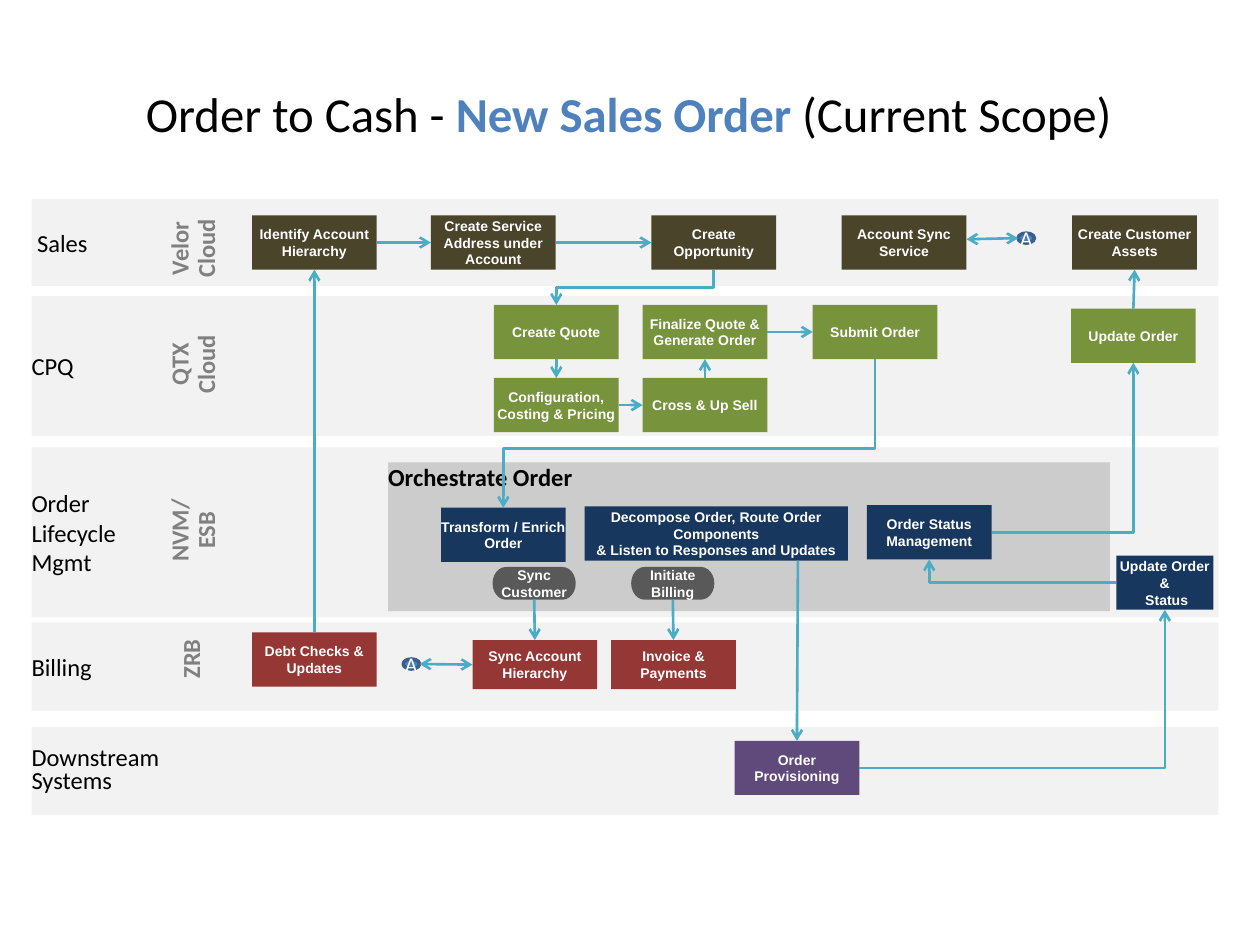
"""Build the order-to-cash swimlane slide on a grid of 100 columns by 75 rows."""
from dataclasses import dataclass

from pptx import Presentation
from pptx import util as u
from pptx.dml.color import RGBColor
from pptx.enum import shapes, text
from pptx.oxml import ns, xmlchemy


@dataclass(frozen=True)
class Theme:
    """Colours, fonts and type sizes of the slide."""
    lane: str = "F2F2F2"
    panel: str = "CCCCCC"
    ink: str = "000000"
    system: str = "808080"
    white: str = "FFFFFF"
    accent: str = "4F81BD"
    outline: str = "3A5F8C"
    arrow: str = "4BACC6"
    sales: str = "4A452A"
    quote: str = "77933C"
    order: str = "17375E"
    event: str = "595959"
    billing: str = "953735"
    supply: str = "604A7B"
    heading: str = "Calibri"
    body: str = "Arial"
    title_size: float = 27.9
    label_size: float = 14
    badge_size: float = 12
    step_size: float = 8


@dataclass(frozen=True)
class Box:
    """A rectangle measured in grid columns and rows."""
    left: float
    top: float
    width: float
    height: float

    def inner(self, left, top, width, height):
        """Return a box placed relative to this one."""
        return Box(self.left + left, self.top + top, width, height)

    def lengths(self):
        """Return left, top, width and height as slide lengths."""
        return [cells(n) for n in (self.left, self.top, self.width, self.height)]


THEME = Theme()
KIND = shapes.MSO_SHAPE
ALIGN = text.PP_ALIGN
ANCHOR = text.MSO_ANCHOR
STEP_WIDTH, STEP_HEIGHT = 9.9, 4.3
PORTS = {"top": (0.5, 0), "left": (0, 0.5), "bottom": (0.5, 1), "right": (1, 0.5),
         "lower right": (0.81, 1), "upper right": (1, 0.44)}

LANES = [
    (" Sales", 15.8, 6.9, 1, ("Velor Cloud", 10.8, 1.1), THEME.sales, [
        ("Identify Account Hierarchy", 17.5, 1.3),
        ("Create Service Address under Account", 31.7, 1.3),
        ("Create Opportunity", 49.2, 1.3),
        ("Account Sync Service", 64.3, 1.3),
        ("Create Customer Assets", 82.6, 1.3)]),
    ("CPQ", 23.5, 11.1, 1, ("QTX Cloud", 10.8, 2.6), THEME.quote, [
        ("Create Quote", 36.7, 0.7),
        ("Configuration, Costing & Pricing", 36.7, 6.5),
        ("Cross & Up Sell", 48.5, 6.5),
        ("Finalize Quote & Generate Order", 48.5, 0.7),
        ("Submit Order", 62, 0.7),
        ("Update Order", 82.5, 1)]),
    ("Order\nLifecycle\nMgmt", 35.5, 13.5, 1, ("NVM/ESB", 10.8, 3.8), THEME.order, [
        ("Update Order &\n Status", 86.1, 8.6, 7.7)]),
    ("Billing", 49.4, 7, 1, ("ZRB", 11.7, 0.1), THEME.billing, [
        ("Debt Checks & Updates", 17.5, 0.8),
        ("Sync Account Hierarchy", 35, 1.4, STEP_WIDTH, 3.9),
        ("Invoice & Payments", 46, 1.4, STEP_WIDTH, 3.9)]),
    ("Downstream\nSystems", 57.7, 7, 0.8, None, THEME.supply, [
        ("Order Provisioning", 55.8, 1.1)]),
]
ORCHESTRATION = [
    ("Transform / Enrich Order", 4.2, 3.6),
    ("Decompose Order, Route Order Components\v& Listen to Responses and Updates", 15.6, 3.5, 20.9),
    ("Order Status Management", 38, 3.4),
]
EVENTS = [("Sync Customer", 8.3, 8.3), ("Initiate Billing", 19.3, 8.3)]
LINKS = [
    ("Update Order", "top", "Create Customer Assets", "bottom"),
    ("Identify Account Hierarchy", "right", "Create Service Address under Account", "left"),
    ("Create Service Address under Account", "right", "Create Opportunity", "left"),
    ("Create Opportunity", "bottom", "Create Quote", "top", 0.5),
    ("Create Quote", "bottom", "Configuration, Costing & Pricing", "top"),
    ("Configuration, Costing & Pricing", "right", "Cross & Up Sell", "left"),
    ("Cross & Up Sell", "top", "Finalize Quote & Generate Order", "bottom"),
    ("Finalize Quote & Generate Order", "right", "Submit Order", "left"),
    ("Submit Order", "bottom", "Transform / Enrich Order", "top", 0.6),
    (ORCHESTRATION[1][0], "lower right", "Order Provisioning", "top"),
    ("Initiate Billing", "bottom", "Invoice & Payments", "top"),
    ("Sync Customer", "bottom", "Sync Account Hierarchy", "top"),
    ("Order Status Management", "right", "Update Order", "bottom", "corner"),
    ("Order Provisioning", "right", "Update Order &\n Status", "bottom", "corner"),
    ("Update Order &\n Status", "left", "Order Status Management", "bottom", "corner"),
    ("Debt Checks & Updates", "top", "Identify Account Hierarchy", "bottom"),
    ("Sync Account Hierarchy", "left", "billing badge", "right", "both"),
    ("sales badge", "left", "Account Sync Service", "upper right", "both"),
]


def cells(count):
    """Turn grid cells into a slide length."""
    return u.Inches(count / 10)


def style(span, size, color, bold=False, font=THEME.heading):
    """Format one run."""
    span.font.size, span.font.bold, span.font.name = u.Pt(size), bold, font
    span.font.color.rgb = RGBColor.from_string(color)


def write(shape, words, size, color, bold=False, font=THEME.heading,
          align=ALIGN.CENTER, anchor=ANCHOR.MIDDLE, spacing=1):
    """Fill a shape with evenly formatted text and no margins."""
    frame = shape.text_frame
    frame.text, frame.word_wrap, frame.vertical_anchor = words, True, anchor
    frame.margin_left = frame.margin_right = frame.margin_top = frame.margin_bottom = 0
    for para in frame.paragraphs:
        para.alignment, para.line_spacing = align, spacing
        for span in para.runs:
            style(span, size, color, bold, font)


def add_block(page, box, fill, kind=KIND.RECTANGLE):
    """Add a flat filled shape without an outline."""
    shape = page.shapes.add_shape(kind, *box.lengths())
    shape.shadow.inherit = False
    shape.fill.solid()
    shape.fill.fore_color.rgb = RGBColor.from_string(fill)
    shape.line.fill.background()
    return shape


def add_steps(page, area, steps, fill, kind=KIND.RECTANGLE, size=(STEP_WIDTH, STEP_HEIGHT)):
    """Add the steps of an area and return them by label."""
    placed = {}
    for label, left, top, *custom in steps:
        width, height = (*custom, *size[len(custom):])
        shape = add_block(page, area.inner(left, top, width, height), fill, kind)
        write(shape, label, THEME.step_size, THEME.white, True, THEME.body)
        placed[label] = shape
    return placed


def add_lane(page, box, label, spacing, system):
    """Add one swimlane band with its label and upright system name."""
    write(add_block(page, box, THEME.lane), label, THEME.label_size, THEME.ink,
          align=ALIGN.LEFT, spacing=spacing)
    if system:
        name, left, top = system
        shape = page.shapes.add_textbox(*box.inner(left, top, 2.3, 5.6).lengths())
        write(shape, name, THEME.label_size, THEME.system, True, anchor=ANCHOR.TOP, spacing=0.9)
        shape.text_frame._txBody.bodyPr.set("vert", "vert270")


def add_orchestration(page, box):
    """Add the orchestration panel and return its steps and events."""
    write(add_block(page, box, THEME.panel), "Orchestrate Order", THEME.label_size,
          THEME.ink, True, align=ALIGN.LEFT, anchor=ANCHOR.TOP)
    return {**add_steps(page, box, ORCHESTRATION, THEME.order),
            **add_steps(page, box, EVENTS, THEME.event, KIND.FLOWCHART_TERMINATOR, (6.6, 2.6))}


def add_badge(page, box):
    """Add a round off-page reference marked A."""
    badge = add_block(page, box, THEME.accent, KIND.OVAL)
    badge.line.color.rgb = RGBColor.from_string(THEME.outline)
    badge.line.width = u.Pt(2)
    write(badge, "A", THEME.badge_size, THEME.white)
    badge.text_frame.word_wrap = False
    return badge


def port(shape, side):
    """Return the point on a shape where a link attaches."""
    across, down = PORTS[side]
    return int(shape.left + across * shape.width), int(shape.top + down * shape.height)


def add_link(page, start, end, route="straight"):
    """Add an arrow that is straight, turns one corner, or drops with a bend at a share."""
    (x1, y1), (x2, y2) = start, end
    bend = route if isinstance(route, float) else None
    if bend:
        middle_x, middle_y, half_x, half_y = (x1 + x2) // 2, (y1 + y2) // 2, (x1 - x2) // 2, (y2 - y1) // 2
        x1, x2 = middle_x - half_y, middle_x + half_y
        y1, y2 = middle_y - half_x, middle_y + half_x
    kind = shapes.MSO_CONNECTOR.ELBOW if bend or route == "corner" else shapes.MSO_CONNECTOR.STRAIGHT
    link = page.shapes.add_connector(kind, x1, y1, x2, y2)
    link.line.color.rgb = RGBColor.from_string(THEME.arrow)
    link.line.width = u.Pt(1.5)
    properties = link._element.spPr
    geometry = properties.find(ns.qn("a:prstGeom"))
    if route == "corner":
        geometry.set("prst", "bentConnector2")
    if bend:
        properties.find(ns.qn("a:xfrm")).set("rot", "5400000")
        guide = xmlchemy.OxmlElement("a:gd")
        guide.set("name", "adj1")
        guide.set("fmla", f"val {round(bend * 100000)}")
        geometry.find(ns.qn("a:avLst")).append(guide)
    for tip in ("a:headEnd", "a:tailEnd") if route == "both" else ("a:tailEnd",):
        arrowhead = xmlchemy.OxmlElement(tip)
        arrowhead.set("type", "arrow")
        link.line._get_or_add_ln().append(arrowhead)
    properties.append(xmlchemy.OxmlElement("a:effectLst"))


def add_title(page, box):
    """Place the title and accent its middle part."""
    title = page.shapes.title
    title.left, title.top, title.width, title.height = box.lengths()
    write(title, "", THEME.title_size, THEME.ink)
    title.text_frame.auto_size = text.MSO_AUTO_SIZE.NONE
    title.text_frame.margin_top = cells(3)
    para = title.text_frame.paragraphs[0]
    for words, color, bold in (("Order to Cash - ", THEME.ink, False),
                               ("New Sales Order ", THEME.accent, True),
                               ("(Current Scope)", THEME.ink, False)):
        span = para.add_run()
        span.text = words
        style(span, THEME.title_size, color, bold)


def main():
    """Build and save the deck."""
    deck = Presentation()
    deck.slide_width, deck.slide_height = cells(100), cells(75)
    page = deck.slides.add_slide(deck.slide_layouts[5])
    add_title(page, Box(2.3, 1.9, 95.2, 11.2))
    placed = {}
    for label, top, height, spacing, system, fill, steps in LANES:
        lane = Box(2.5, top, 94.2, height)
        add_lane(page, lane, label, spacing, system)
        placed.update(add_steps(page, lane, steps, fill))
    placed.update(add_orchestration(page, Box(30.8, 36.7, 57.3, 11.8)))
    placed["billing badge"] = add_badge(page, Box(32, 52.3, 1.3, 0.8))
    placed["sales badge"] = add_badge(page, Box(80.8, 18.5, 1.3, 0.8))
    for source, leave, target, arrive, *route in LINKS:
        add_link(page, port(placed[source], leave), port(placed[target], arrive), *route)
    deck.save("out.pptx")


if __name__ == "__main__":
    main()
